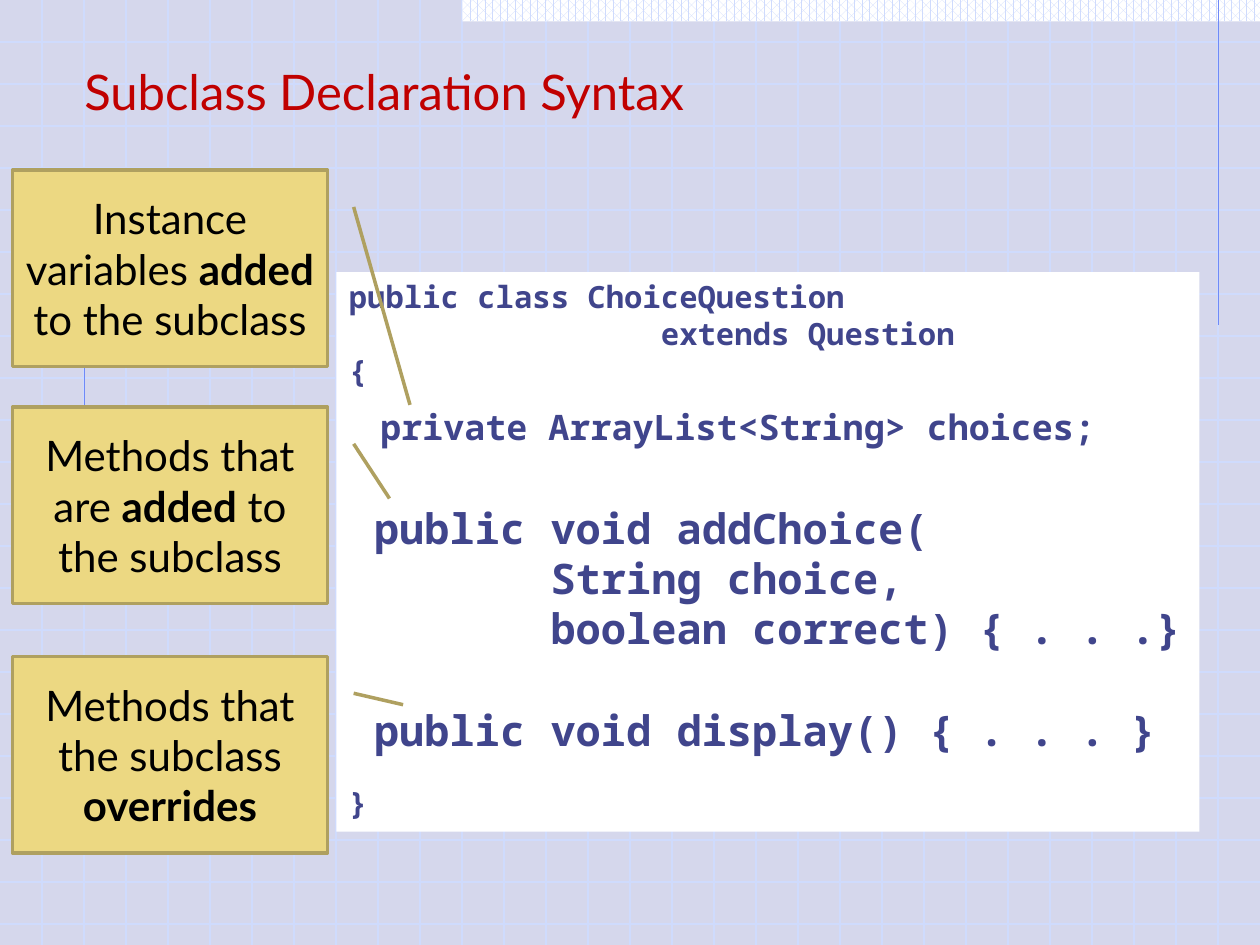
from pptx import Presentation
from pptx.dml.color import RGBColor
from pptx.enum.dml import MSO_PATTERN
from pptx.enum.shapes import MSO_CONNECTOR, MSO_SHAPE
from pptx.enum.text import MSO_ANCHOR, PP_ALIGN
from pptx.oxml.ns import qn
from pptx.util import Inches, Pt
from lxml.etree import SubElement

COLORS = {
    "background": "D5D7EC", "grid": "CFDBFD", "accent": "6F89F7",
    "white": "FFFFFF", "title": "C00000", "code": "40458C",
    "callout": "ECD882", "border": "AFA060", "black": "000000",
}
TEXT_FONT = "Lato"
CODE_FONT = "Noto Sans Mono"
WIDTH, HEIGHT, GRID_STEP = 10, 7.5, 1 / 3


def color(name):
    return RGBColor.from_string(COLORS[name])


class SlideBuilder:
    def __init__(self, slide):
        self.slide = slide
        fill = slide.background.fill
        fill.solid()
        fill.fore_color.rgb = color("background")

    def line(self, x1, y1, x2, y2, line_color):
        connector = self.slide.shapes.add_connector(
            MSO_CONNECTOR.STRAIGHT, Inches(x1), Inches(y1), Inches(x2), Inches(y2))
        connector.line.color.rgb = color(line_color)
        connector.line.width = Pt(0.75)
        SubElement(connector._element.spPr, qn("a:effectLst"))

    def box(self, kind, left, top, width, height, fill=None):
        shape = self.slide.shapes.add_shape(
            kind, Inches(left), Inches(top), Inches(width), Inches(height))
        shape.shadow.inherit = False
        shape.line.fill.background()
        if fill:
            shape.fill.solid()
            shape.fill.fore_color.rgb = color(fill)
        return shape

    def run(self, paragraph, text, size, font_color, name=TEXT_FONT, bold=False):
        run = paragraph.add_run()
        run.text = text
        font = run.font
        font.name, font.size, font.bold = name, Pt(size), bold
        font.color.rgb = color(font_color)

    def pattern_band(self, left, top, width, height):
        fill = self.box(MSO_SHAPE.RECTANGLE, left, top, width, height).fill
        fill.patterned()
        fill.pattern = MSO_PATTERN.PERCENT_60
        fill.fore_color.rgb = color("grid")
        fill.back_color.rgb = color("white")

    def title(self, text, left, top, width, height):
        frame = self.slide.shapes.add_textbox(
            Inches(left), Inches(top), Inches(width), Inches(height)).text_frame
        frame.word_wrap = True
        frame.vertical_anchor = MSO_ANCHOR.MIDDLE
        frame.margin_left = frame.margin_right = 0
        frame.margin_top = frame.margin_bottom = 0
        self.run(frame.paragraphs[0], text, 28, "title")

    def code(self, lines, left, top, width, height):
        """Each line is (space before in points, [(text, size), ...])."""
        frame = self.box(MSO_SHAPE.RECTANGLE, left, top, width, height, "white").text_frame
        frame.word_wrap = False
        frame.vertical_anchor = MSO_ANCHOR.TOP
        for index, (space_before, runs) in enumerate(lines):
            paragraph = frame.add_paragraph() if index else frame.paragraphs[0]
            paragraph.alignment = PP_ALIGN.LEFT
            if space_before:
                paragraph.space_before = Pt(space_before)
            for text, size in runs:
                self.run(paragraph, text, size, "code", CODE_FONT, True)

    def callout(self, top, target, runs):
        """Draw a mirrored callout; target is the pointer end as (y, x) fractions."""
        shape = self.box(MSO_SHAPE.LINE_CALLOUT_1, 0.1, top, 2.5, 1.56, "callout")
        shape._element.spPr.find(qn("a:xfrm")).set("flipH", "1")
        for index, value in enumerate((0.188, -0.083, *target)):
            shape.adjustments[index] = value
        shape.line.color.rgb = color("border")
        shape.line.width = Pt(2)
        frame = shape.text_frame
        frame.word_wrap = True
        frame.vertical_anchor = MSO_ANCHOR.MIDDLE
        paragraph = frame.paragraphs[0]
        paragraph.alignment = PP_ALIGN.CENTER
        for text, bold in runs:
            self.run(paragraph, text, 24, "black", bold=bold)


CODE_LINES = [
    (0, [("public class ChoiceQuestion", 17.5)]),
    (0, [("                 extends Question", 17.5)]),
    (0, [("{", 17.5)]),
    (0, [(" ", 30), ("private ArrayList<String> choices;", 20)]),
    (29, [(" public void addChoice(", 24)]),
    (0, [("        String choice,", 24)]),
    (0, [("        boolean correct) { . . .}", 24)]),
    (29, [(" public void display() { . . . }", 24)]),
    (17, [("}", 17.5)]),
]
CALLOUTS = [
    (1.35, (1.195, -0.262),
     [("Instance variables ", False), ("added", True), (" to the subclass", False)]),
    (3.23, (0.466, -0.197),
     [("Methods that are ", False), ("added", True), (" to the subclass", False)]),
    (5.21, (0.246, -0.24),
     [("Methods that the subclass ", False), ("overrides", True)]),
]


def main():
    presentation = Presentation()
    presentation.slide_width, presentation.slide_height = Inches(WIDTH), Inches(HEIGHT)
    builder = SlideBuilder(presentation.slides.add_slide(presentation.slide_layouts[6]))
    for row in range(1, 23):
        builder.line(0, row * GRID_STEP, WIDTH, row * GRID_STEP, "grid")
    for column in range(1, 30):
        builder.line(column * GRID_STEP, 0, column * GRID_STEP, HEIGHT, "grid")
    builder.pattern_band(3.67, 0, 6.33, 0.17)
    builder.line(9.67, 0, 9.67, 2.58, "accent")
    builder.line(0.67, 1.55, 0.67, 4.09, "accent")
    builder.title("Subclass Declaration Syntax", 0.67, 0.1, 8.5, 1.25)
    builder.code(CODE_LINES, 2.67, 2.16, 6.85, 4.44)
    for top, target, runs in CALLOUTS:
        builder.callout(top, target, runs)
    presentation.save("out.pptx")


if __name__ == "__main__":
    main()
